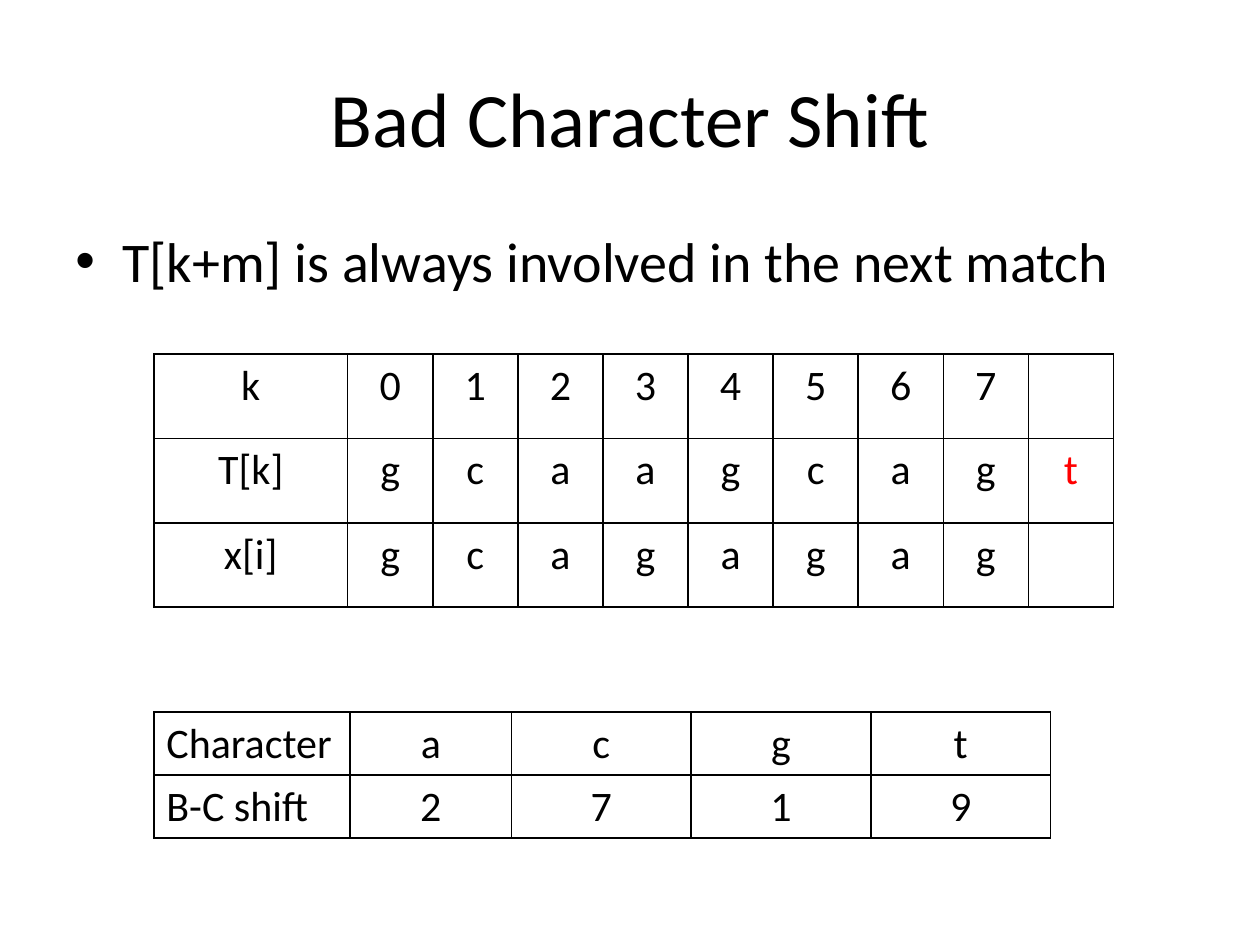
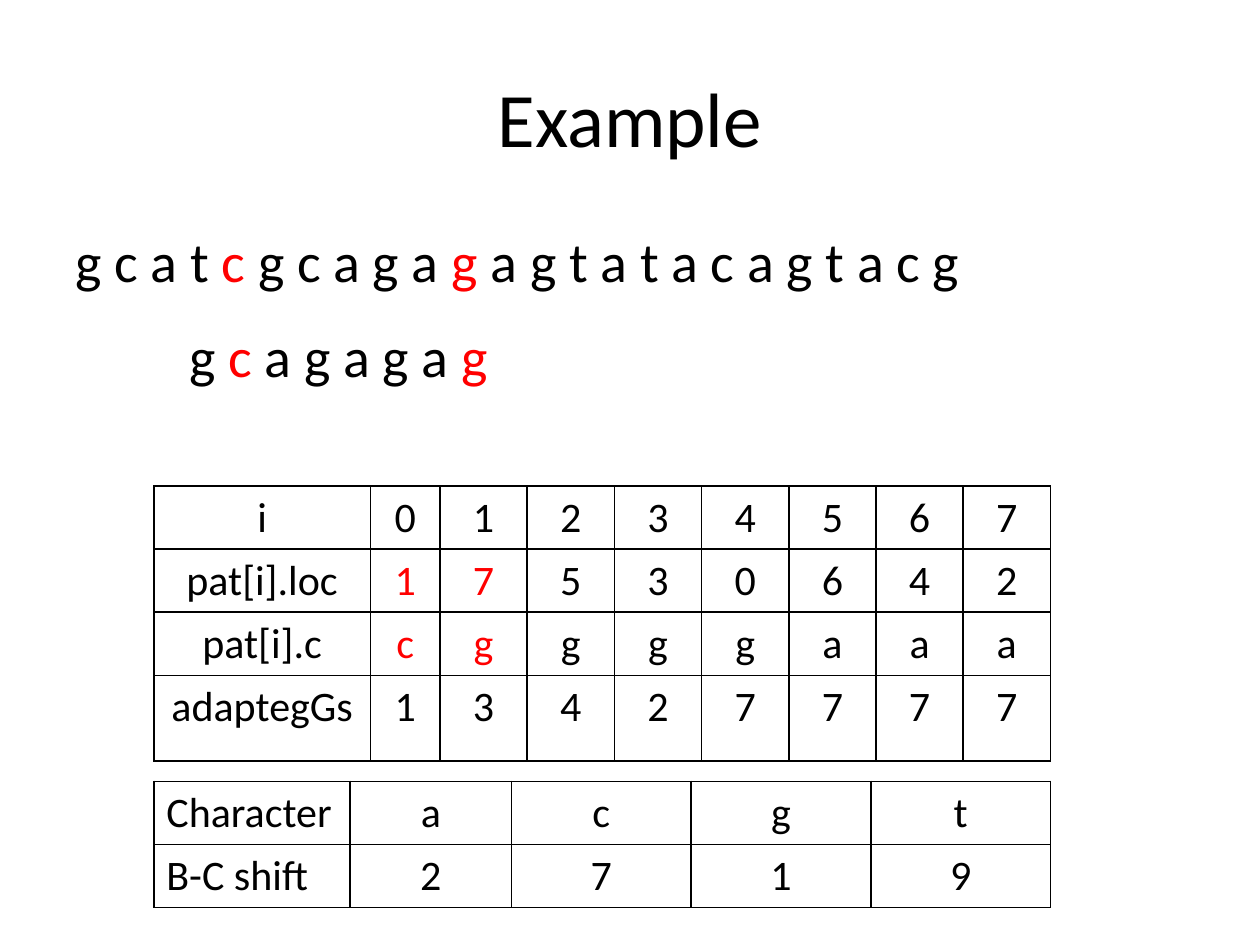
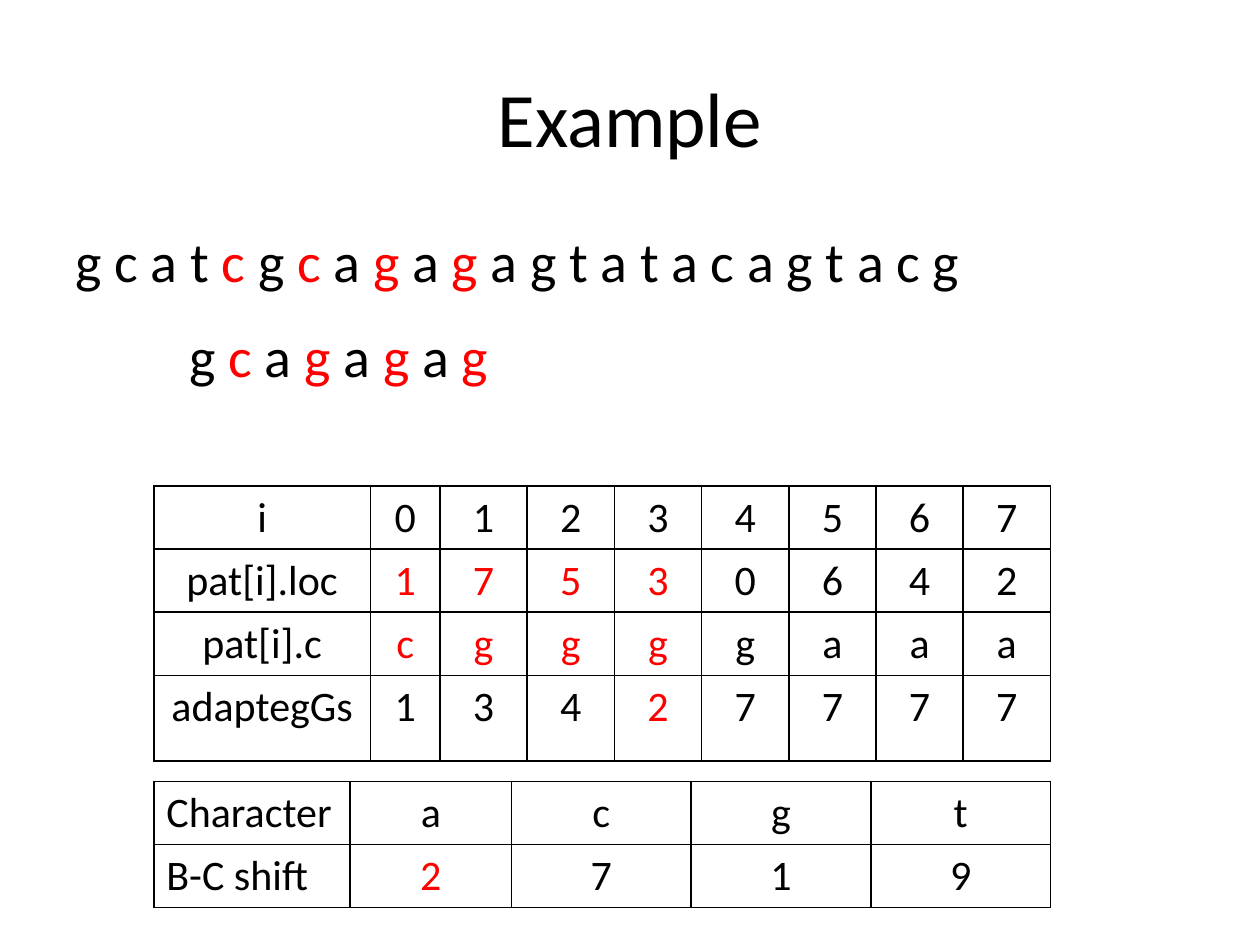
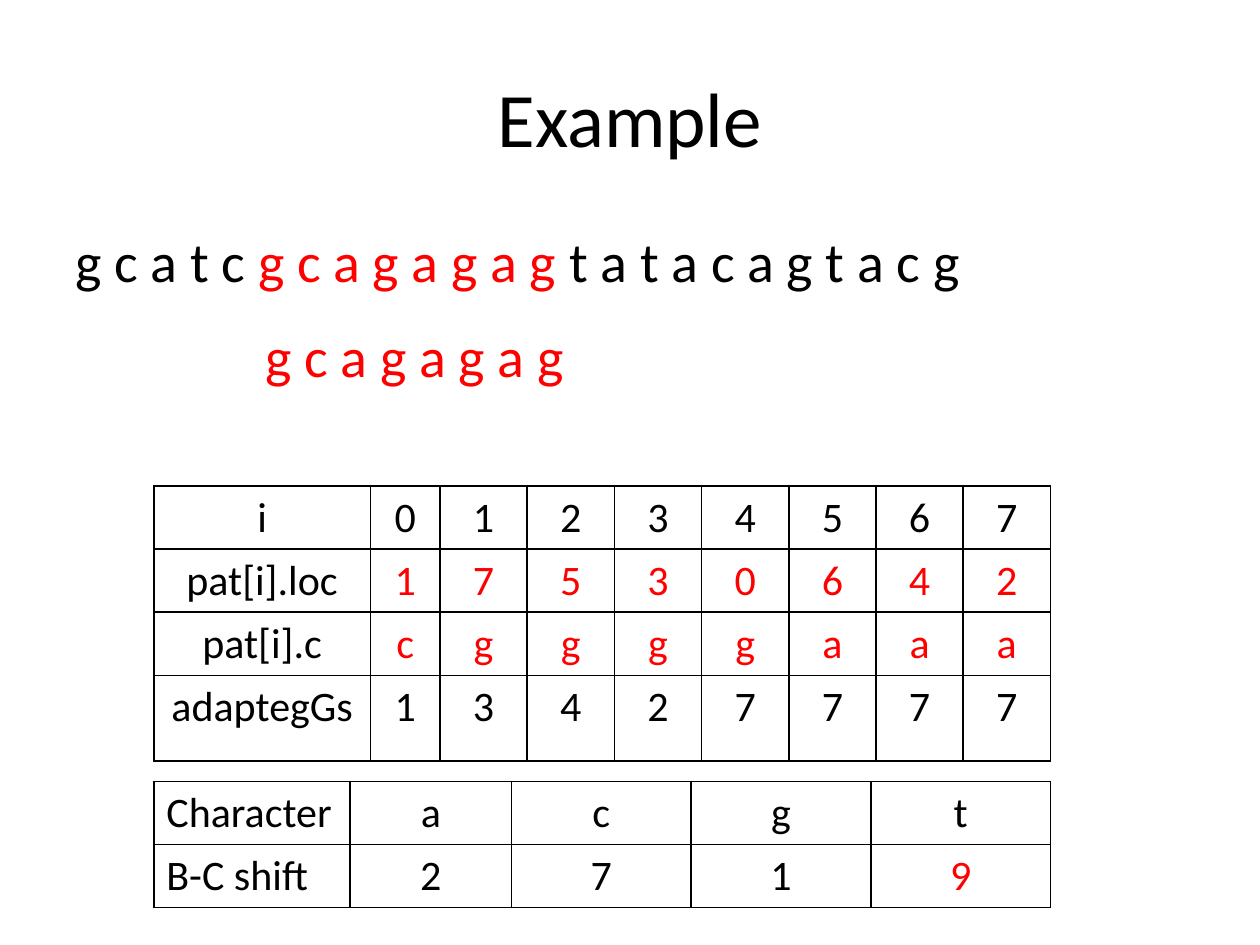
from pptx import Presentation
from pptx.dml.color import RGBColor
from pptx.enum.text import MSO_ANCHOR, PP_ALIGN
from pptx.oxml import parse_xml
from pptx.oxml.ns import nsdecls
from pptx.util import Cm, Pt

BLACK = RGBColor(0, 0, 0)
RED = RGBColor(255, 0, 0)
FONT = "Calibri"
LEFT, CENTER = PP_ALIGN.LEFT, PP_ALIGN.CENTER
MIDDLE = MSO_ANCHOR.MIDDLE
TITLE_SIZE, BODY_SIZE, CELL_SIZE = 44, 32, 24
TABLE_LEFT = 3.1
TABLE_WIDTH = 18.08


def write(p, text, size=BODY_SIZE, align=LEFT, before=0, spacing=None, margin=0, indent=0):
    p.alignment = align
    p.space_before = Pt(before)
    p.line_spacing = spacing
    pPr = p._p.get_or_add_pPr()
    pPr.set("marL", str(Cm(margin)))
    pPr.set("indent", str(Cm(indent)))
    for i, part in enumerate(text.split("|")):
        if part:
            r = p.add_run()
            r.text = part
            r.font.name = FONT
            r.font.size = Pt(size)
            r.font.color.rgb = RED if i % 2 else BLACK


def add_grid(s, rows, top, heights, first_cols, width=TABLE_WIDTH, label_align=CENTER, red=()):
    n = len(rows[0])
    rest = (width - sum(first_cols)) / (n - len(first_cols))
    widths = first_cols + [rest] * (n - len(first_cols))
    table = s.shapes.add_table(len(rows), n, Cm(TABLE_LEFT), Cm(top),
                               Cm(width), Cm(sum(heights))).table
    table.first_row = table.horz_banding = False
    for col, w in zip(table.columns, widths):
        col.width = Cm(w)
    for i, row in enumerate(rows):
        table.rows[i].height = Cm(heights[i])
        for j, text in enumerate(row):
            cell = table.cell(i, j)
            mark = "|" if (i, j) in red else ""
            write(cell.text_frame.paragraphs[0], mark + text, size=CELL_SIZE,
                  align=CENTER if j else label_align)
            tcPr = cell._tc.get_or_add_tcPr()
            for side in "LRTB":
                tcPr.append(parse_xml(
                    f'<a:ln{side} {nsdecls("a")} w="{Pt(1)}"><a:solidFill>'
                    f'<a:srgbClr val="{BLACK}"/></a:solidFill></a:ln{side}>'))
            cell.fill.background()


match_rows = [
    ["k", *"01234567", ""],
    ["T[k]", *"gcaagcagt"],
    ["x[i]", *"gcagagag", ""],
]
pattern_rows = [
    ["i", *"01234567"],
    ["pat[i].loc", *"17530642"],
    ["pat[i].c", *"cggggaaa"],
    ["adaptegGs", *"13427777"],
]
shift_rows = [
    ["Character", *"acgt"],
    ["B-C shift", *"2719"],
]

slides = [
    dict(title="Bad Character Shift", text="T[k+m] is always involved in the next match",
         shift_top=14.35, shift_red=()),
    dict(title="Example", text="g c a t |c| g c a g a |g| a g t a t a c a g t a c g",
         pattern="g |c| a g a g a |g", margin=2.3, compared=2, pattern_red=set(),
         shift_top=15.75, shift_red=()),
    dict(title="Example", text="g c a t |c| g |c| a |g| a |g| a g t a t a c a g t a c g",
         pattern="g |c| a |g| a |g| a |g", margin=2.3, compared=4, pattern_red={(3, 4)},
         shift_top=15.75, shift_red={(1, 1)}),
    dict(title="Example", text="g c a t c |g c a g a g a g |t a t a c a g t a c g",
         pattern="|g c a g a g a g", margin=3.83, compared=8, pattern_red=set(),
         shift_top=15.75, shift_red={(1, 4)}),
]

prs = Presentation()
prs.slide_width, prs.slide_height = Cm(25.4), Cm(19.05)

for d in slides:
    s = prs.slides.add_slide(prs.slide_layouts[5])
    title = s.shapes.title
    title.left, title.top, title.width, title.height = Cm(1.27), Cm(0.76), Cm(22.86), Cm(3.18)
    title.text_frame.vertical_anchor = MIDDLE
    write(title.text_frame.paragraphs[0], d["title"], size=TITLE_SIZE, align=CENTER)

    tf = s.shapes.add_textbox(Cm(1.27), Cm(4.45), Cm(22.86), Cm(12.57)).text_frame
    tf.word_wrap = True
    p = tf.paragraphs[0]
    if "pattern" in d:
        write(p, d["text"], before=6.4)
        write(tf.add_paragraph(), d["pattern"], before=32, spacing=0.5, margin=d["margin"])
        compared = {(i, j) for i in (1, 2) for j in range(1, d["compared"] + 1)}
        add_grid(s, pattern_rows, 9.8, [1.27] * 3 + [1.73], [4.37, 1.4],
                 red=compared | d["pattern_red"])
    else:
        write(p, d["text"], before=6.4, margin=0.95, indent=-0.95)
        pPr = p._p.get_or_add_pPr()
        pPr.append(parse_xml(f'<a:buFont {nsdecls("a")} typeface="Arial"/>'))
        pPr.append(parse_xml(f'<a:buChar {nsdecls("a")} char="\u2022"/>'))
        add_grid(s, match_rows, 7.14, [1.7] * 3, [3.91], width=19.35, red={(1, 9)})
    add_grid(s, shift_rows, d["shift_top"], [1.27] * 2, [3.96, 3.25],
             label_align=LEFT, red=d["shift_red"])

prs.save("out.pptx")
